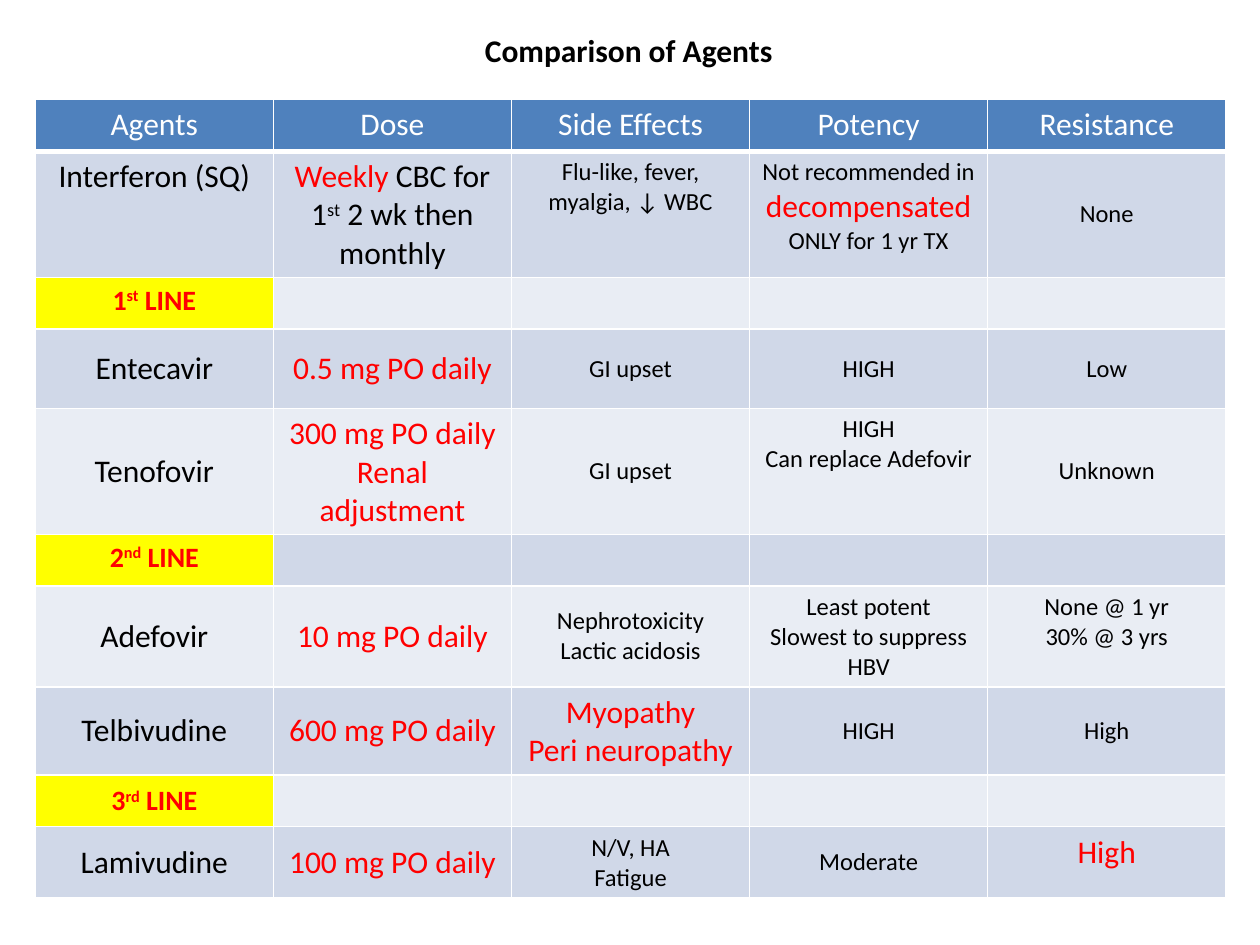
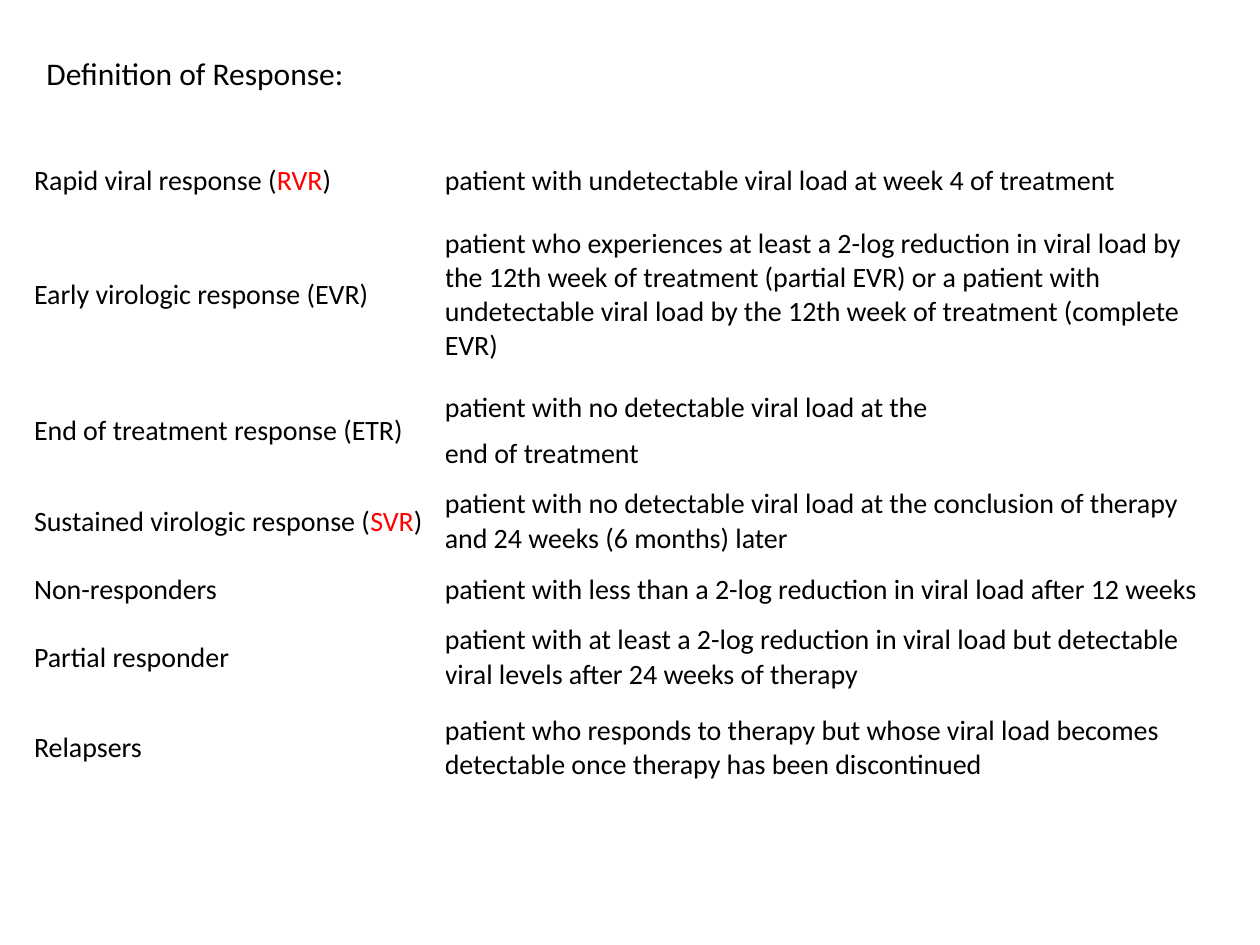
"""Build two slides: a comparison of antiviral agents and the definitions of response."""
from lxml import etree
from pptx import Presentation
from pptx.dml.color import RGBColor
from pptx.enum.text import MSO_ANCHOR, PP_ALIGN
from pptx.oxml.ns import qn
from pptx.util import Inches, Pt

TOP, MIDDLE = MSO_ANCHOR.TOP, MSO_ANCHOR.MIDDLE
LEFT, CENTER = PP_ALIGN.LEFT, PP_ALIGN.CENTER
FONT = "Calibri"
COLORS = {
    "text": "000000", "key": "FF0000", "white": "FFFFFF", "header": "4F81BD",
    "line": "FFFF00", "odd": "D0D8E8", "even": "E9EDF4",
}
LARGE, MEDIUM, SMALL = 18, 16, 14

AGENTS = [
    ["Agents", "Dose", "Side Effects", "Potency", "Resistance"],
    ["Interferon (SQ)", "*Weekly* CBC for 1^st^ 2 wk then monthly",
     "Flu-like, fever, myalgia, ↓ WBC",
     "Not recommended in *decompensated*\nONLY for 1 yr TX", "None"],
    ["*1^st^ LINE*"],
    ["Entecavir", "*0.5 mg PO daily*", "GI upset", "HIGH", "Low"],
    ["Tenofovir", "*300 mg PO daily*\n*Renal adjustment*", "GI upset",
     "HIGH\nCan replace Adefovir", "Unknown"],
    ["*2^nd^ LINE*"],
    ["Adefovir", "*10 mg PO daily*", "Nephrotoxicity\nLactic acidosis",
     "Least potent\nSlowest to suppress HBV", "None @ 1 yr\n30% @ 3 yrs"],
    ["Telbivudine", "*600 mg PO daily*", "*Myopathy*\n*Peri neuropathy*", "HIGH", "High"],
    ["*3^rd^ LINE*"],
    ["Lamivudine", "*100 mg PO daily*", "N/V, HA\nFatigue", "Moderate", "*High*"],
]
AGENT_HEIGHTS = [0.41, 1, 0.41, 0.63, 1, 0.41, 0.8, 0.7, 0.41, 0.56]
TOP_CELLS = {(0, c) for c in range(5)} | {(1, c) for c in range(4)} | {
    (2, 0), (4, 3), (5, 0), (6, 3), (6, 4), (9, 4)}

RESPONSES = [
    ["Rapid viral response (*RVR*)",
     "patient with undetectable viral load at week 4 of treatment"],
    ["Early virologic response (EVR)",
     "patient who experiences at least a 2-log reduction in viral load by the 12th week of "
     "treatment (partial EVR) or a patient with undetectable viral load by the 12th week of "
     "treatment (complete EVR)"],
    ["End of treatment response (ETR)", "patient with no detectable viral load at the"],
    ["", "end of treatment"],
    ["Sustained virologic response (*SVR*)",
     "patient with no detectable viral load at the conclusion of therapy and 24 weeks "
     "(6 months) later"],
    ["Non-responders",
     "patient with less than a 2-log reduction in viral load after 12 weeks"],
    ["Partial responder",
     "patient with at least a 2-log reduction in viral load but detectable viral levels "
     "after 24 weeks of therapy"],
    ["Relapsers",
     "patient who responds to therapy but whose viral load becomes detectable once therapy "
     "has been discontinued"],
]
RESPONSE_HEIGHTS = [0.36 * lines for lines in (1, 4, 1, 1, 2, 1, 2, 2)]
ETR_ROW = 2


def rgb(name):
    """Return the named colour."""
    return RGBColor.from_string(COLORS[name])


def write(frame, text, size, key_size=None, color="text", bold=False, align=LEFT):
    """Write lines in which *...* is a key phrase and ^...^ is superscript."""
    for number, line in enumerate(text.split("\n")):
        paragraph = frame.add_paragraph() if number else frame.paragraphs[0]
        paragraph.alignment = align
        paragraph.font.name = FONT
        for part_number, part in enumerate(line.split("*")):
            is_key = part_number % 2 == 1
            for piece_number, piece in enumerate(part.split("^")):
                if not piece:
                    continue
                run = paragraph.add_run()
                run.text = piece
                run.font.size = Pt(key_size if is_key and key_size else size)
                run.font.bold = bold
                run.font.color.rgb = rgb("key" if is_key else color)
                if piece_number % 2:
                    run.font._element.set("baseline", "30000")


def add_title(slide, text, left, top, width, bold=False):
    """Add a one-line slide title."""
    title = slide.shapes.add_textbox(Inches(left), Inches(top), Inches(width), Inches(0.4))
    title.text_frame.word_wrap = bold
    write(title.text_frame, text, LARGE, bold=bold)


def add_grid(slide, left, top, widths, heights):
    """Add an unbanded table with the given column widths and row heights."""
    table = slide.shapes.add_table(
        len(heights), len(widths), Inches(left), Inches(top),
        Inches(sum(widths)), Inches(sum(heights))).table
    table.first_row = table.horz_banding = False
    for column, width in zip(table.columns, widths):
        column.width = Inches(width)
    for row, height in zip(table.rows, heights):
        row.height = Inches(height)
    return table


def add_bottom_rule(cell, points):
    """Draw a white rule under a cell."""
    rule = etree.Element(qn("a:lnB"), w=str(Pt(points)))
    fill = etree.SubElement(rule, qn("a:solidFill"))
    etree.SubElement(fill, qn("a:srgbClr"), val=COLORS["white"])
    cell._tc.get_or_add_tcPr().insert(0, rule)


def fill_agent_cell(cell, text, row, column):
    """Style one cell of the agent table by its place."""
    is_line = len(AGENTS[row]) == 1 and column == 0
    band = "header" if row == 0 else "line" if is_line else "odd" if row % 2 else "even"
    cell.fill.solid()
    cell.fill.fore_color.rgb = rgb(band)
    cell.vertical_anchor = TOP if (row, column) in TOP_CELLS else MIDDLE
    size = MEDIUM if is_line else LARGE if row == 0 or column < 2 else SMALL
    write(cell.text_frame, text, size, MEDIUM if is_line else LARGE,
          "text" if row else "white", is_line, CENTER)
    if row == 0:
        add_bottom_rule(cell, 3)


def build_comparison(slide):
    """Build the comparison of agents."""
    add_title(slide, "Comparison of Agents", 3.75, 0.2, 3.37, bold=True)
    table = add_grid(slide, 0.28, 0.79, [1.89] * 5, AGENT_HEIGHTS)
    for row, texts in enumerate(AGENTS):
        for column in range(5):
            text = texts[column] if column < len(texts) else ""
            fill_agent_cell(table.cell(row, column), text, row, column)


def build_definitions(slide):
    """Build the definitions of response."""
    table = add_grid(slide, 0.27, 1.26, [3.26, 6.17], RESPONSE_HEIGHTS)
    table.cell(ETR_ROW, 0).merge(table.cell(ETR_ROW + 1, 0))
    for row, texts in enumerate(RESPONSES):
        for column, text in enumerate(texts):
            cell = table.cell(row, column)
            cell.fill.background()
            cell.vertical_anchor = MIDDLE
            cell.margin_left = cell.margin_right = cell.margin_top = cell.margin_bottom = 0
            write(cell.text_frame, text, MEDIUM)
    add_title(slide, "Definition of Response:", 0.27, 0.38, 2.59)


def main():
    """Build and save the presentation."""
    deck = Presentation()
    deck.slide_width, deck.slide_height = Inches(10), Inches(7.5)
    blank = deck.slide_layouts[6]
    for build in (build_comparison, build_definitions):
        build(deck.slides.add_slide(blank))
    deck.save("out.pptx")


if __name__ == "__main__":
    main()
